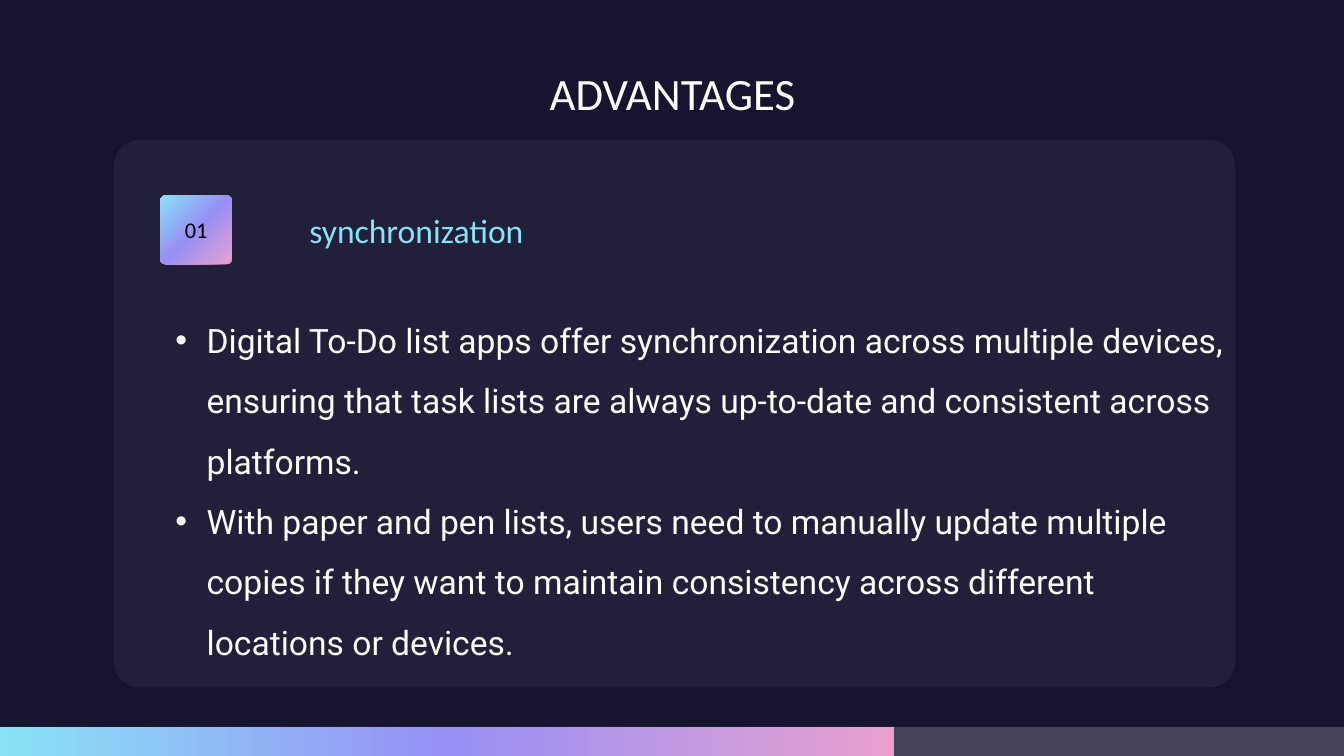
from lxml import etree
from pptx import Presentation
from pptx import util as u
from pptx.dml.color import RGBColor
from pptx.enum import shapes, text
from pptx.oxml.ns import qn

NIGHT = RGBColor(0x17, 0x14, 0x30)
WHITE = RGBColor(0xFF, 0xFF, 0xFF)
BLACK = RGBColor(0x00, 0x00, 0x00)
CYAN = RGBColor(0x89, 0xE3, 0xF6)
VIOLET = RGBColor(0x97, 0x90, 0xF5)
PINK = RGBColor(0xE8, 0xA1, 0xCF)

WIDTH, HEIGHT = 13.33, 7.5
ADVANTAGES = (
    "Digital To-Do list apps offer synchronization across multiple devices, "
    "ensuring that task lists are always up-to-date and consistent across platforms.",
    "With paper and pen lists, users need to manually update multiple copies "
    "if they want to maintain consistency across different locations or devices.",
)


def add_element(parent, tag, **attributes):
    return etree.SubElement(parent, qn(tag), {key: str(value) for key, value in attributes.items()})


def add_panel(page, kind, left, top, width, height, rounding=None):
    panel = page.shapes.add_shape(
        kind, u.Inches(left), u.Inches(top), u.Inches(width), u.Inches(height))
    panel.shadow.inherit = False
    panel.line.fill.background()
    if rounding is not None:
        panel.adjustments[0] = rounding
    return panel


def fill_translucent(panel, color, percent):
    panel.fill.solid()
    panel.fill.fore_color.rgb = color
    tint = panel._element.spPr.find(qn("a:solidFill")).find(qn("a:srgbClr"))
    add_element(tint, "a:alpha", val=percent * 1000)


def fill_gradient(panel, radial=False):
    panel.fill.gradient()
    panel.fill.gradient_angle = 0
    gradient = panel._element.spPr.find(qn("a:gradFill"))
    stops = gradient.find(qn("a:gsLst"))
    stops.clear()
    for position, color in ((0, CYAN), (50, VIOLET), (100, PINK)):
        stop = add_element(stops, "a:gs", pos=position * 1000)
        add_element(stop, "a:srgbClr", val=color)
    if radial:
        gradient.remove(gradient.find(qn("a:lin")))
        focus = add_element(gradient, "a:path", path="circle")
        add_element(focus, "a:fillToRect", r=100000, b=100000)


def add_glow(panel):
    effects = panel._element.spPr.find(qn("a:effectLst"))
    shadow = add_element(effects, "a:outerShdw", blurRad=u.Pt(7), dist=0, dir=0,
                         algn="ctr", rotWithShape=0)
    color = add_element(shadow, "a:srgbClr", val=BLACK)
    add_element(color, "a:alpha", val=20000)


def frame_text(shape, anchor, inset=0.05):
    frame = shape.text_frame
    frame.word_wrap = True
    frame.auto_size = text.MSO_AUTO_SIZE.NONE
    frame.vertical_anchor = anchor
    frame.margin_left = frame.margin_right = 0
    frame.margin_top = frame.margin_bottom = u.Inches(inset)
    return frame


def add_span(para, words, size, color, font="Calibri", align=text.PP_ALIGN.CENTER):
    para.alignment = align
    span = para.add_run()
    span.text = words
    span.font.name = font
    span.font.size = u.Pt(size)
    span.font.color.rgb = color


def add_text_box(page, left, top, width, height, anchor):
    box = page.shapes.add_textbox(
        u.Inches(left), u.Inches(top), u.Inches(width), u.Inches(height))
    return frame_text(box, anchor)


def place_title(page, left, top, width, height):
    title = page.shapes.title
    title.left, title.top = u.Inches(left), u.Inches(top)
    title.width, title.height = u.Inches(width), u.Inches(height)
    frame = frame_text(title, text.MSO_ANCHOR.BOTTOM)
    add_span(frame.paragraphs[0], "ADVANTAGES", 32, WHITE)


def add_progress_bar(page, left, top, width, height, done):
    bar = shapes.MSO_SHAPE.RECTANGLE
    fill_translucent(add_panel(page, bar, left, top, width, height), WHITE, 20)
    fill_gradient(add_panel(page, bar, left, top, done, height))


def add_bullets(frame, items):
    for index, item in enumerate(items):
        para = frame.paragraphs[0] if index == 0 else frame.add_paragraph()
        para.line_spacing = 1.5
        properties = para._p.get_or_add_pPr()
        indent = u.Inches(0.31)
        properties.set("marL", str(indent))
        properties.set("indent", str(-indent))
        add_element(properties, "a:buFont", typeface="Arial")
        add_element(properties, "a:buChar", char="•")
        add_span(para, item, 24, WHITE, "Roboto", text.PP_ALIGN.LEFT)


def add_card(page, left, top, width, height):
    rounded = shapes.MSO_SHAPE.ROUNDED_RECTANGLE
    card = add_panel(page, rounded, left, top, width, height, 0.046)
    fill_translucent(card, WHITE, 5)
    add_glow(card)

    badge = add_panel(page, rounded, left + 0.46, top + 0.55, 0.71, 0.68, 0.072)
    fill_gradient(badge, radial=True)
    number = frame_text(badge, text.MSO_ANCHOR.MIDDLE, inset=0)
    add_span(number.paragraphs[0], "01", 16, BLACK)

    heading = add_text_box(page, left + 1, top + 0.64, 4, 0.5, text.MSO_ANCHOR.BOTTOM)
    add_span(heading.paragraphs[0], "synchronization", 24, CYAN)

    body = add_text_box(page, left + 0.61, top + 1.53, 10.54, 3.65, text.MSO_ANCHOR.TOP)
    add_bullets(body, ADVANTAGES)


def main():
    deck = Presentation()
    deck.slide_width, deck.slide_height = u.Inches(WIDTH), u.Inches(HEIGHT)
    page = deck.slides.add_slide(deck.slide_layouts.get_by_name("Title Only"))
    page.background.fill.solid()
    page.background.fill.fore_color.rgb = NIGHT
    place_title(page, 3.52, 0.53, 6.3, 0.71)
    add_progress_bar(page, 0, HEIGHT - 0.29, WIDTH, 0.29, done=8.87)
    add_card(page, 1.13, 1.39, 11.12, 5.43)
    deck.save("out.pptx")


if __name__ == "__main__":
    main()
